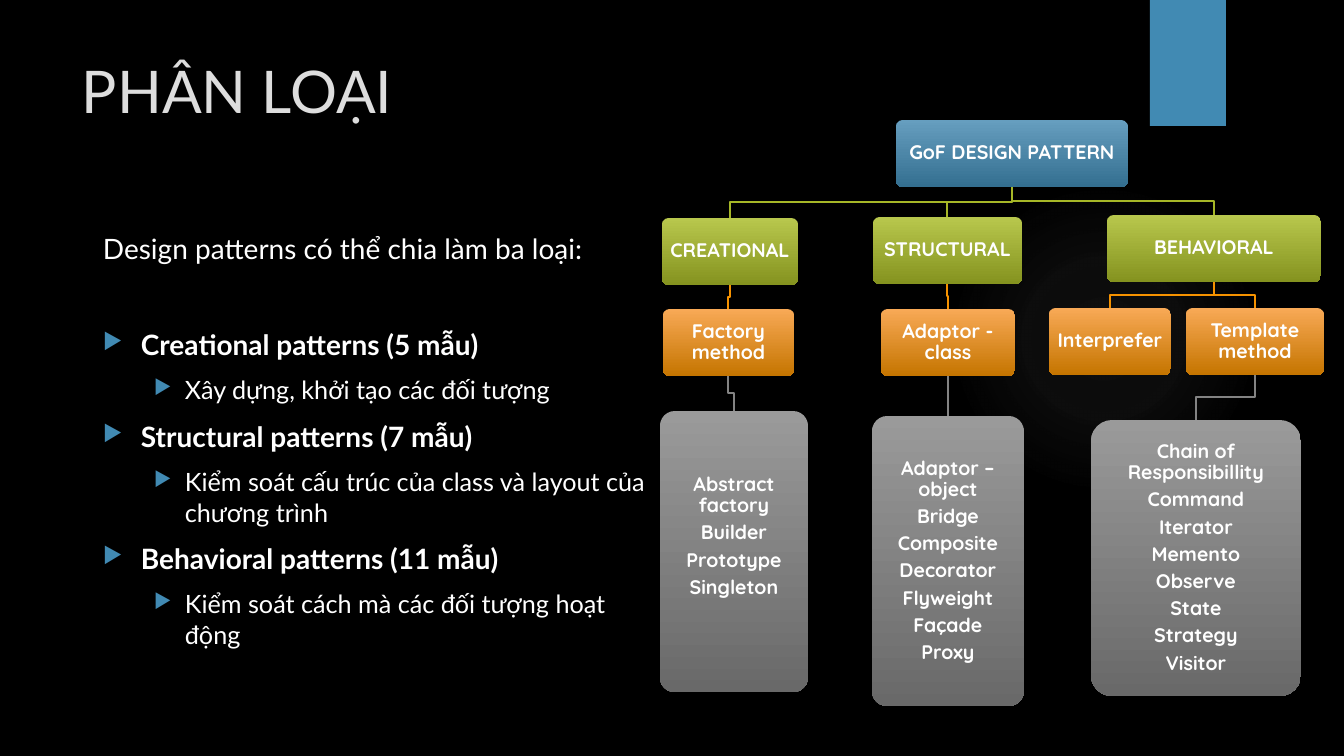
from lxml import etree
from pptx import Presentation
from pptx import util as u
from pptx.dml.color import RGBColor
from pptx.enum import shapes, text
from pptx.oxml import parse_xml
from pptx.oxml.ns import qn

PX = 914400 / 100.8
BLACK = RGBColor(0x00, 0x00, 0x00)
WHITE = RGBColor(0xFF, 0xFF, 0xFF)
TITLE = RGBColor(0xDD, 0xDD, 0xDD)
ACCENT = RGBColor(0x41, 0x8A, 0xB3)
LIME = RGBColor(0xA6, 0xB7, 0x27)
ORANGE = RGBColor(0xF6, 0x92, 0x00)
GRAY = RGBColor(0x83, 0x83, 0x83)
BLUE_FADE = RGBColor(0x66, 0x9E, 0xBF), RGBColor(0x34, 0x6F, 0x90)
LIME_FADE = RGBColor(0xB8, 0xC7, 0x4D), RGBColor(0x85, 0x93, 0x1F)
ORANGE_FADE = RGBColor(0xF8, 0xA9, 0x56), RGBColor(0xC5, 0x75, 0x00)
GRAY_FADE = RGBColor(0x9A, 0x9A, 0x9A), RGBColor(0x69, 0x69, 0x69)


def emu(*lengths):
    return [u.Emu(round(n * PX)) for n in lengths]


def write(tf, line, first=False, size=14, font="Lato", color=WHITE, bold=False,
          align=text.PP_ALIGN.LEFT, spacing=1.0, before=0, after=0, bullet=None):
    p = tf.paragraphs[0] if first else tf.add_paragraph()
    p.alignment = align
    p.line_spacing = spacing
    p.space_before, p.space_after = u.Pt(before), u.Pt(after)
    r = p.add_run()
    r.text = line
    r.font.size, r.font.name, r.font.bold = u.Pt(size), font, bold
    r.font.color.rgb = color
    if bullet:
        pPr = p._p.get_or_add_pPr()
        left, hang = emu(*bullet)
        pPr.set("marL", str(left))
        pPr.set("indent", str(-hang))
        clr = etree.SubElement(pPr, qn("a:buClr"))
        etree.SubElement(clr, qn("a:srgbClr"), val=str(ACCENT))
        etree.SubElement(pPr, qn("a:buSzPct"), val="80000")
        etree.SubElement(pPr, qn("a:buChar"), char="▶")


prs = Presentation()
prs.slide_width, prs.slide_height = emu(1344, 756)
s = prs.slides.add_slide(prs.slide_layouts[6])
s.background.fill.solid()
s.background.fill.fore_color.rgb = BLACK

glow = s.shapes.add_shape(shapes.MSO_SHAPE.OVAL, *emu(949, 184, 310, 310))
glow.shadow.inherit = False
glow.line.fill.background()
stops = "".join(
    f'<a:gs pos="{pos}000"><a:srgbClr val="BFBFBF"><a:alpha val="{alpha}000"/></a:srgbClr></a:gs>'
    for pos, alpha in [(0, 7), (36, 6), (69, 0)])
glow._element.spPr.insert(2, parse_xml(
    '<a:gradFill xmlns:a="http://schemas.openxmlformats.org/drawingml/2006/main">'
    f'<a:gsLst>{stops}</a:gsLst><a:path path="circle">'
    '<a:fillToRect l="50000" t="50000" r="50000" b="50000"/></a:path></a:gradFill>'))

tab = s.shapes.add_shape(shapes.MSO_SHAPE.RECTANGLE, *emu(1150, 0, 76, 126))
tab.shadow.inherit = False
tab.fill.solid()
tab.fill.fore_color.rgb = ACCENT
tab.line.fill.background()

tf = s.shapes.add_textbox(*emu(72, 50, 1037, 154)).text_frame
tf.word_wrap = True
write(tf, "PHÂN LOẠI", first=True, size=42, color=TITLE)

tf = s.shapes.add_textbox(*emu(93, 227, 573, 463)).text_frame
tf.word_wrap = True
write(tf, "Design patterns có thể chia làm ba loại:", first=True, size=20)
groups = [
    ("Creational patterns (5 mẫu)", "Xây dựng, khởi tạo các đối tượng", 44),
    ("Structural patterns (7 mẫu)",
     "Kiểm soát cấu trúc của class và layout của chương trình", 10),
    ("Behavioral patterns (11 mẫu)", "Kiểm soát cách mà các đối tượng hoạt động", 10),
]
for heading, detail, before in groups:
    write(tf, heading, size=20, bold=True, before=before, bullet=(38, 38))
    write(tf, detail, size=18, before=10, bullet=(82, 31))

boxes = {
    "root": (896, 120, 232, 67, BLUE_FADE, ["GoF DESIGN PATTERN"]),
    "creational": (662, 218, 136, 67, LIME_FADE, ["CREATIONAL"]),
    "structural": (873, 217, 149, 67, LIME_FADE, ["STRUCTURAL"]),
    "behavioral": (1107, 215, 214, 67, LIME_FADE, ["BEHAVIORAL"]),
    "factory": (663, 309, 131, 67, ORANGE_FADE, ["Factory method"]),
    "adaptor": (881, 309, 134, 67, ORANGE_FADE, ["Adaptor - class"]),
    "interpreter": (1049, 308, 122, 67, ORANGE_FADE, ["Interprefer"]),
    "template": (1186, 308, 138, 67, ORANGE_FADE, ["Template method"]),
    "creational list": (660, 411, 148, 281, GRAY_FADE, [
        "Abstract factory", "Builder", "Prototype", "Singleton"]),
    "structural list": (872, 416, 152, 290, GRAY_FADE, [
        "Adaptor – object", "Bridge", "Composite", "Decorator", "Flyweight",
        "Façade", "Proxy"]),
    "behavioral list": (1091, 420, 210, 276, GRAY_FADE, [
        "Chain of Responsibillity", "Command", "Iterator", "Memento", "Observe",
        "State", "Strategy", "Visitor"]),
}
nodes = {}
for name, (x, y, w, h, fade, lines) in boxes.items():
    sp = s.shapes.add_shape(shapes.MSO_SHAPE.ROUNDED_RECTANGLE, *emu(x, y, w, h))
    sp.adjustments[0] = 0.1
    sp.shadow.inherit = False
    sp.line.fill.background()
    sp.fill.gradient()
    sp.fill.gradient_angle = 270
    for stop, color in zip(sp.fill.gradient_stops, fade):
        stop.color.rgb = color
    tf = sp.text_frame
    tf.word_wrap = True
    tf.vertical_anchor = text.MSO_ANCHOR.MIDDLE
    bottom = 34 if name == "creational list" else 4
    tf.margin_left, tf.margin_top, tf.margin_right, tf.margin_bottom = emu(4, 4, 4, bottom)
    for i, line in enumerate(lines):
        write(tf, line, first=i == 0, font="Quicksand", bold=True,
              align=text.PP_ALIGN.CENTER, spacing=0.9, after=4.3 if i < len(lines) - 1 else 0)
    nodes[name] = sp

links = [
    ("root", "creational", LIME), ("root", "structural", LIME), ("root", "behavioral", LIME),
    ("creational", "factory", ORANGE), ("structural", "adaptor", ORANGE),
    ("behavioral", "interpreter", ORANGE), ("behavioral", "template", ORANGE),
    ("factory", "creational list", GRAY), ("adaptor", "structural list", GRAY),
    ("template", "behavioral list", GRAY),
]
for parent, child, color in links:
    px, py, pw, ph = boxes[parent][:4]
    cx, cy, cw = boxes[child][:3]
    x1, y1, x2, y2 = px + pw // 2, py + ph, cx + cw // 2, cy
    if x1 == x2:
        link = s.shapes.add_connector(shapes.MSO_CONNECTOR.STRAIGHT, *emu(x1, y1, x2, y2))
        link.begin_connect(nodes[parent], 2)
        link.end_connect(nodes[child], 0)
    else:
        mid = (y1 + y2) // 2
        path = s.shapes.build_freeform(x1, y1, scale=PX)
        path.add_line_segments([(x1, mid), (x2, mid), (x2, y2)], close=False)
        link = path.convert_to_shape()
        link.fill.background()
    link.line.color.rgb = color
    link.line.width = u.Pt(1.5)
    etree.SubElement(link._element.spPr, qn("a:effectLst"))

prs.save("out.pptx")
